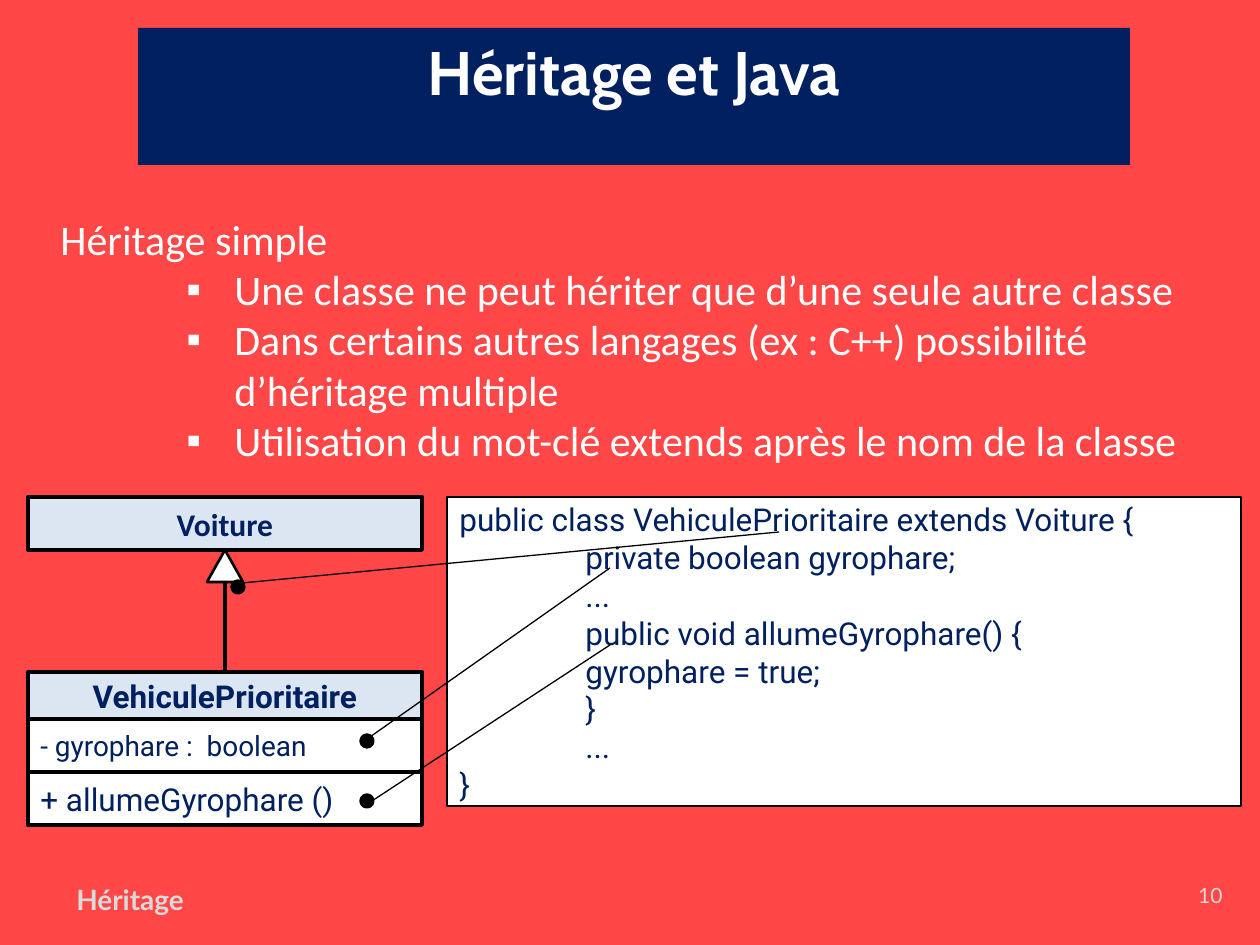
from dataclasses import dataclass
from lxml.etree import SubElement
from pptx import Presentation
from pptx.dml.color import RGBColor
from pptx.enum.shapes import MSO_CONNECTOR, MSO_SHAPE
from pptx.enum.text import MSO_ANCHOR, PP_ALIGN
from pptx.oxml.ns import qn
from pptx.util import Pt

PX = 914400 // 126


@dataclass(frozen=True)
class Theme:
    back: str = "FF4747"
    navy: str = "002060"
    pale: str = "DCE6F2"
    white: str = "FFFFFF"
    black: str = "000000"
    gray: str = "D9D9D9"
    title: float = 35.1
    body: int = 24
    code: int = 18
    small: int = 16
    page: int = 12
    thin: float = 0.75
    mid: float = 1.5
    thick: float = 2.25
    dot: int = 3


T = Theme()
TITLE = "Héritage et Java"
LEAD = "Héritage simple"
POINTS = [
    "Une classe ne peut hériter que d’une seule autre classe",
    "Dans certains autres langages (ex : C++) possibilité d’héritage multiple",
    "Utilisation du mot-clé extends après le nom de la classe",
]
CODE = [
    (0, "public class VehiculePrioritaire extends Voiture {"),
    (1, "private boolean gyrophare;"),
    (1, "..."),
    (1, "public void allumeGyrophare() {"),
    (1, "gyrophare = true;"),
    (1, "}"),
    (1, "..."),
    (0, "}"),
]
BOLD = dict(bold=True, align=PP_ALIGN.CENTER)
UML = [
    ("Voiture", 497, 53, T.pale, dict(font="Calibri", size=T.code, **BOLD)),
    ("VehiculePrioritaire", 672, 47, T.pale, dict(size=T.code, **BOLD)),
    ("- gyrophare :  boolean", 719, 53, T.white, dict(size=T.small)),
    ("+ allumeGyrophare ()", 772, 53, T.white, dict(size=T.code)),
]
DOTS = [(362, 796), (362, 736), (233, 582)]
LINKS = [(779, 532, 242, 583), (610, 645, 372, 801), (610, 568, 370, 737)]

deck = Presentation()
deck.slide_width, deck.slide_height = 1260 * PX, 945 * PX
slide = deck.slides.add_slide(deck.slide_layouts[6])
slide.background.fill.solid()
slide.background.fill.fore_color.rgb = RGBColor.from_string(T.back)


def write(shape, text, font="Roboto", size=T.code, color=T.navy, bold=False,
          align=PP_ALIGN.LEFT, anchor=MSO_ANCHOR.MIDDLE, left=0, hang=0, mark=None):
    frame = shape.text_frame
    frame.word_wrap = True
    frame.vertical_anchor = anchor
    para = frame.add_paragraph() if frame.text else frame.paragraphs[0]
    para.alignment = align
    props = para._p.get_or_add_pPr()
    if left:
        props.set("marL", str(left * PX))
        props.set("indent", str(-hang * PX))
    if mark:
        SubElement(props, qn("a:buFont"), typeface="Arial")
        SubElement(props, qn("a:buChar"), char=mark)
    run = para.add_run()
    run.text = text
    run.font.name, run.font.size, run.font.bold = font, Pt(size), bold
    run.font.color.rgb = RGBColor.from_string(color)


def area(*box):
    return slide.shapes.add_textbox(*(n * PX for n in box))


def block(kind, box, fill, width=None):
    shape = slide.shapes.add_shape(kind, *(n * PX for n in box))
    shape.shadow.inherit = False
    shape.fill.solid()
    shape.fill.fore_color.rgb = RGBColor.from_string(fill)
    if width:
        shape.line.color.rgb = RGBColor.from_string(T.black)
        shape.line.width = Pt(width)
    else:
        shape.line.fill.background()
    return shape


def link(ends, width):
    line = slide.shapes.add_connector(MSO_CONNECTOR.STRAIGHT, *(n * PX for n in ends))
    line.line.color.rgb = RGBColor.from_string(T.black)
    line.line.width = Pt(width)
    SubElement(line._element.spPr, qn("a:effectLst"))
    return line


body = area(48, 207, 1172, 267)
plain = dict(font="Calibri", size=T.body, color=T.white, anchor=MSO_ANCHOR.TOP)
write(body, LEAD, **plain)
for point in POINTS:
    write(body, point, left=174, hang=48, mark="▪", **plain)

head = block(MSO_SHAPE.RECTANGLE, (138, 28, 992, 137), T.navy)
write(head, TITLE, font="Cabin", size=T.title, color=T.white,
      anchor=MSO_ANCHOR.TOP, **BOLD)

cells = []
for text, top, high, fill, style in UML:
    cell = block(MSO_SHAPE.RECTANGLE, (28, top, 394, high), fill, T.thick)
    write(cell, text, **style)
    cells.append(cell)
link((225, 582, 225, 672), T.thick).end_connect(cells[1], 0)
block(MSO_SHAPE.ISOSCELES_TRIANGLE, (207, 550, 36, 32), T.white, T.mid)

panel = block(MSO_SHAPE.RECTANGLE, (447, 497, 794, 309), T.white, T.mid)
for depth, text in CODE:
    write(panel, text, left=depth * 126)

for x, y in DOTS:
    block(MSO_SHAPE.OVAL, (x, y, 10, 10), T.black, T.dot)
for ends in LINKS:
    link(ends, T.thin)

foot = dict(font="Lato", color=T.gray, anchor=MSO_ANCHOR.TOP)
write(area(64, 876, 466, 50), "Héritage", size=T.small, bold=True, **foot)
write(area(1106, 876, 129, 50), "10", size=T.page, align=PP_ALIGN.RIGHT, **foot)

deck.save("out.pptx")
